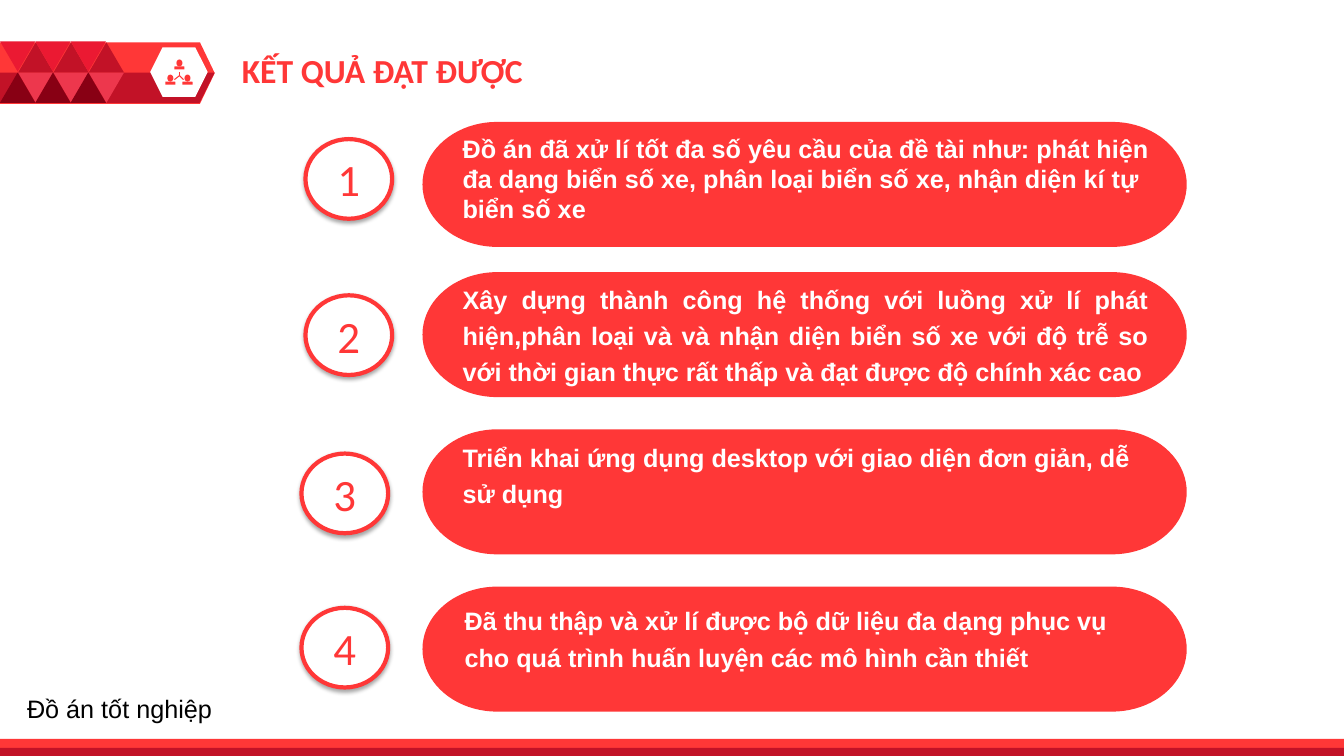
from dataclasses import dataclass
from math import cos, pi, sin

from lxml.etree import SubElement
from pptx import Presentation
from pptx.dml.color import RGBColor
from pptx.enum.shapes import MSO_CONNECTOR, MSO_SHAPE
from pptx.enum.text import MSO_ANCHOR, MSO_AUTO_SIZE, PP_ALIGN
from pptx.oxml.ns import qn
from pptx.util import Inches, Pt

COLORS = {
    "red": "FF3737", "crimson": "C21227", "scarlet": "EB1932", "rose": "ED374D",
    "maroon": "880014", "white": "FFFFFF", "black": "000000",
}
TITLE_FONT = {"name": "Calibri", "size": Pt(24), "bold": True}
NUMBER_FONT = {"name": "Calibri", "size": Pt(32), "bold": False}
RESULT_FONT = {"name": "Arial", "size": Pt(18), "bold": True}
FOOTER_FONT = {"name": "Arial", "size": Pt(18), "bold": False}
GROWING = {"word_wrap": True, "auto_size": MSO_AUTO_SIZE.SHAPE_TO_FIT_TEXT}
FIXED = {"word_wrap": True, "auto_size": MSO_AUTO_SIZE.NONE}
CENTERED = {"word_wrap": True, "vertical_anchor": MSO_ANCHOR.MIDDLE, "margin_left": 0,
            "margin_right": 0, "margin_top": 0, "margin_bottom": 0}


@dataclass
class Box:
    left: float
    top: float
    width: float
    height: float

    def lengths(self) -> list:
        return [Inches(v) for v in (self.left, self.top, self.width, self.height)]


@dataclass
class Result:
    pill_top: float
    circle: Box
    words: Box
    text: str
    paragraph: dict


@dataclass
class Triangle:
    offset: float
    top: float
    color: str
    rotation: int


RESULTS = [
    Result(1.21, Box(3.03, 1.38, 0.86, 0.79), Box(4.49, 1.27, 7.07, 1.01),
           "Đồ án đã xử lí tốt đa số yêu cầu của đề tài như: phát hiện đa dạng biển số xe, "
           "phân loại biển số xe, nhận diện kí tự biển số xe", {}),
    Result(2.7, Box(3.03, 2.93, 0.86, 0.79), Box(4.49, 2.71, 7, 1.19),
           "Xây dựng thành công hệ thống với luồng xử lí phát hiện,phân loại và và nhận diện "
           "biển số xe với độ trễ so với thời gian thực rất thấp và đạt được độ chính xác cao",
           {"line_spacing": 1.2, "alignment": PP_ALIGN.JUSTIFY}),
    Result(4.26, Box(2.99, 4.5, 0.86, 0.79), Box(4.49, 4.28, 7.13, 0.83),
           "Triển khai ứng dụng desktop với giao diện đơn giản, dễ sử dụng",
           {"line_spacing": 1.2}),
    Result(5.82, Box(2.99, 6.03, 0.86, 0.79), Box(4.51, 5.9, 6.97, 0.83),
           "Đã thu thập và xử lí được bộ dữ liệu đa dạng phục vụ cho quá trình huấn luyện "
           "các mô hình cần thiết", {"line_spacing": 1.2}),
]
TRIANGLES = [
    Triangle(0, 0.41, "scarlet", 180), Triangle(0.18, 0.42, "crimson", 0),
    Triangle(0.18, 0.72, "rose", 180), Triangle(0, 0.72, "maroon", 0),
]


def rgb(color: str) -> RGBColor:
    return RGBColor.from_string(COLORS[color])


def paint(shape, color: str):
    shape.shadow.inherit = False
    shape.fill.solid()
    shape.fill.fore_color.rgb = rgb(color)
    shape.line.fill.background()
    return shape


def add_preset(slide, preset: MSO_SHAPE, box: Box, color: str, rotation: int = 0):
    shape = paint(slide.shapes.add_shape(preset, *box.lengths()), color)
    shape.rotation = rotation
    return shape


def add_outline(slide, points: list, color: str):
    start, *rest = [(Inches(x), Inches(y)) for x, y in points]
    builder = slide.shapes.build_freeform(*start)
    builder.add_line_segments(rest, close=True)
    return paint(builder.convert_to_shape(), color)


def write(shape, text: str, color: str, font: dict, frame: dict, paragraph: dict) -> None:
    line = shape.text_frame.paragraphs[0]
    run = line.add_run()
    run.text = text
    run.font.color.rgb = rgb(color)
    for target, formats in ((run.font, font), (shape.text_frame, frame), (line, paragraph)):
        for name, value in formats.items():
            setattr(target, name, value)


def add_words(slide, box: Box, text: str, color: str, font: dict, frame: dict,
              paragraph: dict) -> None:
    write(slide.shapes.add_textbox(*box.lengths()), text, color, font, frame, paragraph)


def add_person(slide, center: float, top: float) -> None:
    add_preset(slide, MSO_SHAPE.OVAL, Box(center - 0.03, top, 0.06, 0.07), "red")
    add_preset(slide, MSO_SHAPE.ROUND_2_SAME_RECTANGLE,
               Box(center - 0.05, top + 0.07, 0.1, 0.03), "red")


def add_link(slide, end_x: float, end_y: float) -> None:
    link = slide.shapes.add_connector(
        MSO_CONNECTOR.STRAIGHT, Inches(1.78), Inches(0.75), Inches(end_x), Inches(end_y))
    link.line.color.rgb = rgb("red")
    link.line.width = Pt(0.75)
    SubElement(link._element.spPr, qn("a:effectLst"))


def add_header(slide) -> None:
    banner = add_preset(slide, MSO_SHAPE.PENTAGON, Box(0, 0.42, 2.13, 0.61), "red")
    banner.adjustments[0] = 0.24
    add_outline(slide, [(0, 0.72), (2.13, 0.72), (1.98, 1.02), (0, 1.02)], "crimson")
    add_preset(slide, MSO_SHAPE.HEXAGON, Box(1.49, 0.47, 0.57, 0.49), "white")
    for center, top in ((1.78, 0.59), (1.69, 0.74), (1.86, 0.74)):
        add_person(slide, center, top)
    for end in ((1.78, 0.71), (1.73, 0.79), (1.82, 0.79)):
        add_link(slide, *end)
    for column in range(3):
        for tile in TRIANGLES:
            add_preset(slide, MSO_SHAPE.ISOSCELES_TRIANGLE,
                       Box(column * 0.35 + tile.offset, tile.top, 0.35, 0.3),
                       tile.color, tile.rotation)


def add_pill(slide, top: float) -> None:
    angles = [-pi / 2 + pi * step / 40 for step in range(41)]
    middle = top + 0.62
    right = [(11.03 + 0.74 * cos(a), middle + 0.62 * sin(a)) for a in angles]
    left = [(4.93 - 0.74 * cos(a), middle - 0.62 * sin(a)) for a in angles]
    add_outline(slide, right + left, "red")


def add_number(slide, box: Box, number: int) -> None:
    circle = add_preset(slide, MSO_SHAPE.OVAL, box, "white")
    circle.line.color.rgb = rgb("red")
    circle.line.width = Pt(3)
    effects = circle._element.spPr.find(qn("a:effectLst"))
    shadow = SubElement(effects, qn("a:outerShdw"), blurRad=str(Pt(3.1)), dist=str(Pt(1.8)),
                        dir="5400000", algn="t", rotWithShape="0")
    tint = SubElement(shadow, qn("a:srgbClr"), val=COLORS["black"])
    SubElement(tint, qn("a:alpha"), val="35000")
    write(circle, str(number), "red", NUMBER_FONT, CENTERED, {"alignment": PP_ALIGN.CENTER})


def main() -> None:
    """Build the slide of achieved results and save it."""
    deck = Presentation()
    deck.slide_width, deck.slide_height = Inches(13.33), Inches(7.5)
    slide = deck.slides.add_slide(deck.slide_layouts[6])
    add_header(slide)
    add_preset(slide, MSO_SHAPE.RECTANGLE, Box(0, 7.33, 13.33, 0.16), "red")
    add_preset(slide, MSO_SHAPE.RECTANGLE, Box(0, 7.42, 13.33, 0.08), "crimson")
    add_words(slide, Box(2.3, 0.45, 4.22, 0.5), "KẾT QUẢ ĐẠT ĐƯỢC", "red",
              TITLE_FONT, GROWING, {})
    add_words(slide, Box(0.17, 6.83, 2.83, 0.4), "Đồ án tốt nghiệp", "black",
              FOOTER_FONT, FIXED, {})
    for number, result in enumerate(RESULTS, start=1):
        add_pill(slide, result.pill_top)
        add_number(slide, result.circle, number)
        add_words(slide, result.words, result.text, "white", RESULT_FONT, GROWING,
                  result.paragraph)
    deck.save("out.pptx")


if __name__ == "__main__":
    main()
